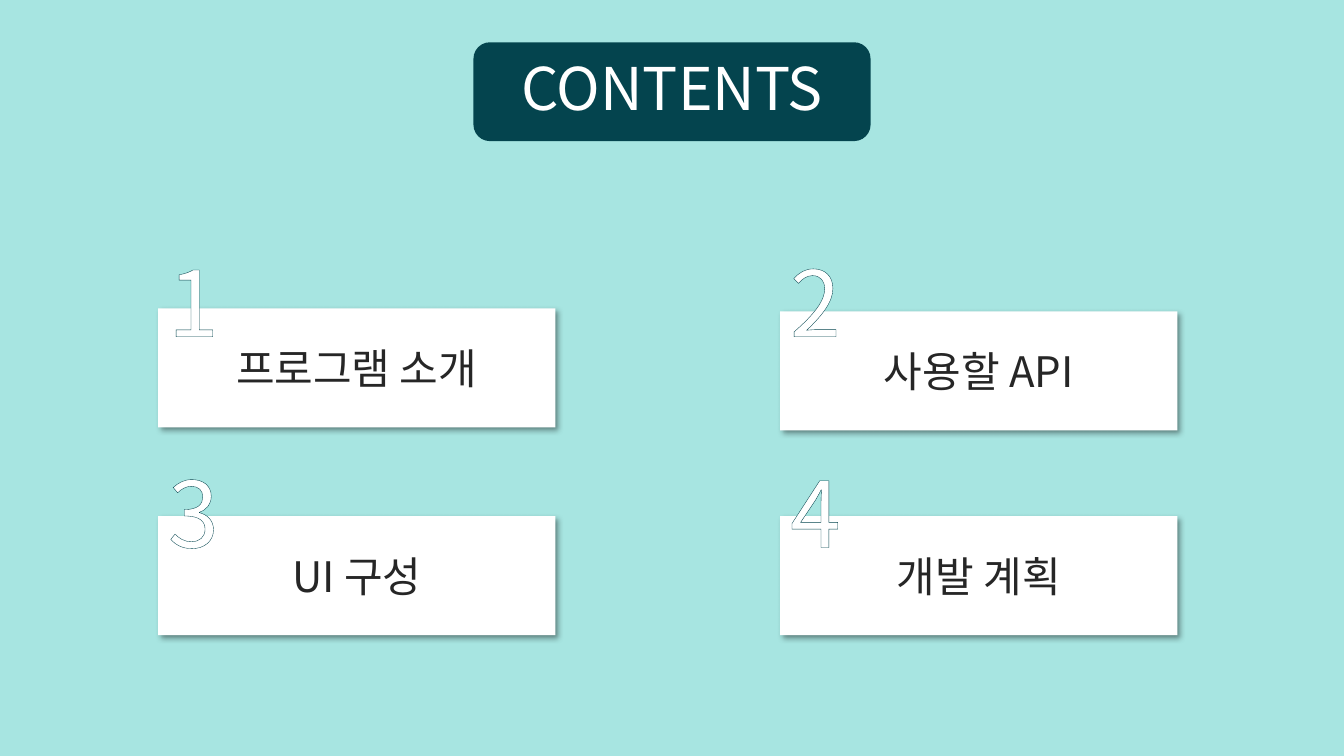
from dataclasses import dataclass

from lxml import etree
from pptx import Presentation
from pptx.dml.color import RGBColor
from pptx.enum import shapes, text
from pptx.oxml import ns, parse_xml
from pptx.util import Pt

FONT = "Noto Sans CJK KR"
WHITE, TEAL, INK, MINT = "FFFFFF", "04444E", "262626", "A7E5E1"
WIDE, HIGH = 283.7, 85
SHADOW = f"""<a:effectLst {ns.nsdecls('a')}>
<a:outerShdw blurRad="{Pt(4)}" dist="{Pt(3)}" dir="2700000" algn="tl" rotWithShape="0">
<a:srgbClr val="000000"><a:alpha val="40000"/></a:srgbClr>
</a:outerShdw></a:effectLst>"""
EDGE = f"""<a:ln {ns.nsdecls('a')} w="{Pt(3.5)}">
<a:solidFill><a:srgbClr val="{TEAL}"/></a:solidFill></a:ln>"""


@dataclass
class Card:
    label: str
    left: float
    top: float
    mark: float


CARDS = [
    Card("프로그램 소개", 113, 220.3, 172),
    Card("사용할 API", 557.3, 222.5, 172),
    Card("UI 구성", 113, 368.6, 322.5),
    Card("개발 계획", 557.3, 368.6, 322.5),
]


def paint(fill, tone: str) -> None:
    fill.solid()
    fill.fore_color.rgb = RGBColor.from_string(tone)


def write(shape, words: str, size: float, tone: str, anchor):
    frame = shape.text_frame
    frame.text = words
    frame.vertical_anchor = anchor
    line = frame.paragraphs[0]
    line.alignment = text.PP_ALIGN.CENTER
    font = line.runs[0].font
    font.size = Pt(size)
    paint(font.fill, tone)
    font.name = FONT
    props = line.runs[0]._r.get_or_add_rPr()
    etree.SubElement(props, ns.qn("a:ea"), typeface=FONT)
    return props


def block(slide, kind, left: float, top: float, high: float, tone: str):
    shape = slide.shapes.add_shape(kind, Pt(left), Pt(top), Pt(WIDE), Pt(high))
    shape.shadow.inherit = False
    paint(shape.fill, tone)
    shape.line.fill.background()
    return shape


def panel(slide, card: Card) -> None:
    shape = block(slide, shapes.MSO_SHAPE.RECTANGLE, card.left, card.top, HIGH, WHITE)
    props = shape._element.spPr
    props.replace(props.find(ns.qn("a:effectLst")), parse_xml(SHADOW))
    write(shape, card.label, 30, INK, text.MSO_ANCHOR.MIDDLE)


def digit(slide, card: Card, rank: int) -> None:
    box = slide.shapes.add_textbox(Pt(card.left), Pt(card.mark), Pt(49), Pt(85.7))
    props = write(box, str(rank), 65, WHITE, text.MSO_ANCHOR.TOP)
    props.insert(0, parse_xml(EDGE))
    box.text_frame.word_wrap = False
    box.text_frame.auto_size = text.MSO_AUTO_SIZE.SHAPE_TO_FIT_TEXT


def main() -> None:
    deck = Presentation()
    deck.slide_width, deck.slide_height = Pt(960), Pt(540)
    slide = deck.slides.add_slide(deck.slide_layouts[6])
    paint(slide.background.fill, MINT)
    title = block(slide, shapes.MSO_SHAPE.ROUNDED_RECTANGLE, 338.2, 30.2, 70.6, TEAL)
    write(title, "CONTENTS", 42, WHITE, text.MSO_ANCHOR.TOP)
    for rank, card in enumerate(CARDS, 1):
        panel(slide, card)
        digit(slide, card, rank)
    deck.save("out.pptx")


if __name__ == "__main__":
    main()
